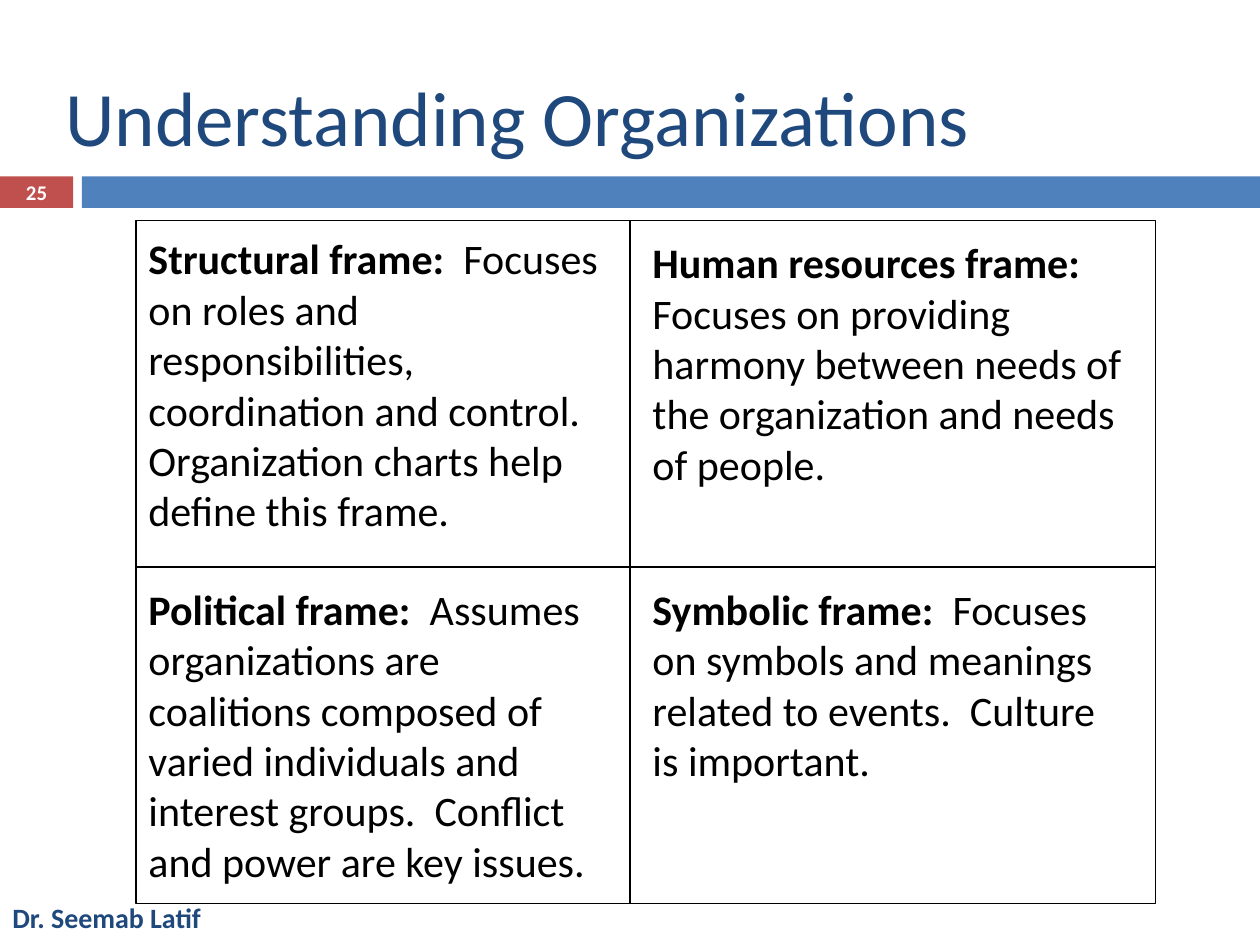
import pptx
import pptx.dml.color
import pptx.enum.shapes
import pptx.enum.text
import pptx.util
from lxml import etree

Inches = pptx.util.Inches
Pt = pptx.util.Pt
ANCHOR = pptx.enum.text.MSO_ANCHOR
ALIGN = pptx.enum.text.PP_ALIGN

NAVY, BLUE, RED = "1F497D", "4F81BD", "C0504D"
BLACK, WHITE = "000000", "FFFFFF"

BANDS = [((0, 1.4, 0.58, 0.25), RED), ((0.65, 1.4, 9.35, 0.25), BLUE)]

# Left, top, right and bottom of the grid, and where its dividers cross
GRID = (1.08, 1.75, 9.17, 7.17)
CROSS = (5, 4.5)

FRAMES = [
    ((1.08, 1.8, 3.83, 2.5), "Structural frame:",
     "  Focuses on roles and responsibilities, coordination and control. "
     "Organization charts help define this frame."),
    ((5.08, 1.83, 3.92, 2.1), "Human resources frame:",
     "  Focuses on providing harmony between needs of the organization "
     "and needs of people."),
    ((1.08, 4.58, 3.75, 2.5), "Political frame:",
     "  Assumes organizations are coalitions composed of varied individuals "
     "and interest groups.  Conflict and power are key issues."),
    ((5.08, 4.58, 3.92, 1.7), "Symbolic frame:",
     "  Focuses on symbols and meanings related to events.  "
     "Culture is important."),
]


def rgb(color):
    return pptx.dml.color.RGBColor.from_string(color)


def add_rectangle(slide, box, fill=None, line=None):
    shape = slide.shapes.add_shape(
        pptx.enum.shapes.MSO_SHAPE.RECTANGLE, *map(Inches, box))
    shape.shadow.inherit = False
    if fill:
        shape.fill.solid()
        shape.fill.fore_color.rgb = rgb(fill)
    else:
        shape.fill.background()
    if line:
        shape.line.color.rgb = rgb(line)
        shape.line.width = Pt(0.75)
    else:
        shape.line.fill.background()


def add_divider(slide, start, end):
    connector = slide.shapes.add_connector(
        pptx.enum.shapes.MSO_CONNECTOR.STRAIGHT, *map(Inches, start + end))
    connector.line.color.rgb = rgb(BLACK)
    connector.line.width = Pt(0.75)
    etree.SubElement(connector._element.spPr,
                     pptx.oxml.ns.qn("a:effectLst"))


def add_text(slide, box, runs, size, color, anchor=ANCHOR.TOP,
             align=ALIGN.LEFT, grow=False):
    """Add one paragraph made of (text, bold) runs."""
    frame = slide.shapes.add_textbox(*map(Inches, box)).text_frame
    frame.word_wrap = True
    frame.vertical_anchor = anchor
    if grow:
        frame.auto_size = pptx.enum.text.MSO_AUTO_SIZE.SHAPE_TO_FIT_TEXT
    paragraph = frame.paragraphs[0]
    paragraph.alignment = align
    for text, bold in runs:
        run = paragraph.add_run()
        run.text = text
        run.font.name = "Calibri"
        run.font.size = Pt(size)
        run.font.bold = bold
        run.font.color.rgb = rgb(color)


def main():
    presentation = pptx.Presentation()
    presentation.slide_width = Inches(10)
    presentation.slide_height = Inches(7.5)
    slide = presentation.slides.add_slide(presentation.slide_layouts[6])

    for box, color in BANDS:
        add_rectangle(slide, box, fill=color)
    add_text(slide, (0, 7.1, 1.83, 0.4), [("Dr. Seemab Latif", True)], 16, NAVY)
    add_text(slide, (0, 1.39, 0.58, 0.27), [("25", True)], 11.9, WHITE,
             ANCHOR.MIDDLE, ALIGN.CENTER)
    add_text(slide, (0.42, 0.33, 9, 1.17),
             [("Understanding Organizations", False)], 44, NAVY, ANCHOR.MIDDLE)

    left, top, right, bottom = GRID
    cross_x, cross_y = CROSS
    add_rectangle(slide, (left, top, right - left, bottom - top), line=BLACK)
    add_divider(slide, (cross_x, top), (cross_x, bottom))
    add_divider(slide, (left, cross_y), (right, cross_y))

    for box, heading, description in FRAMES:
        add_text(slide, box, [(heading, True), (description, False)],
                 24, BLACK, grow=True)

    presentation.save("out.pptx")


if __name__ == "__main__":
    main()
